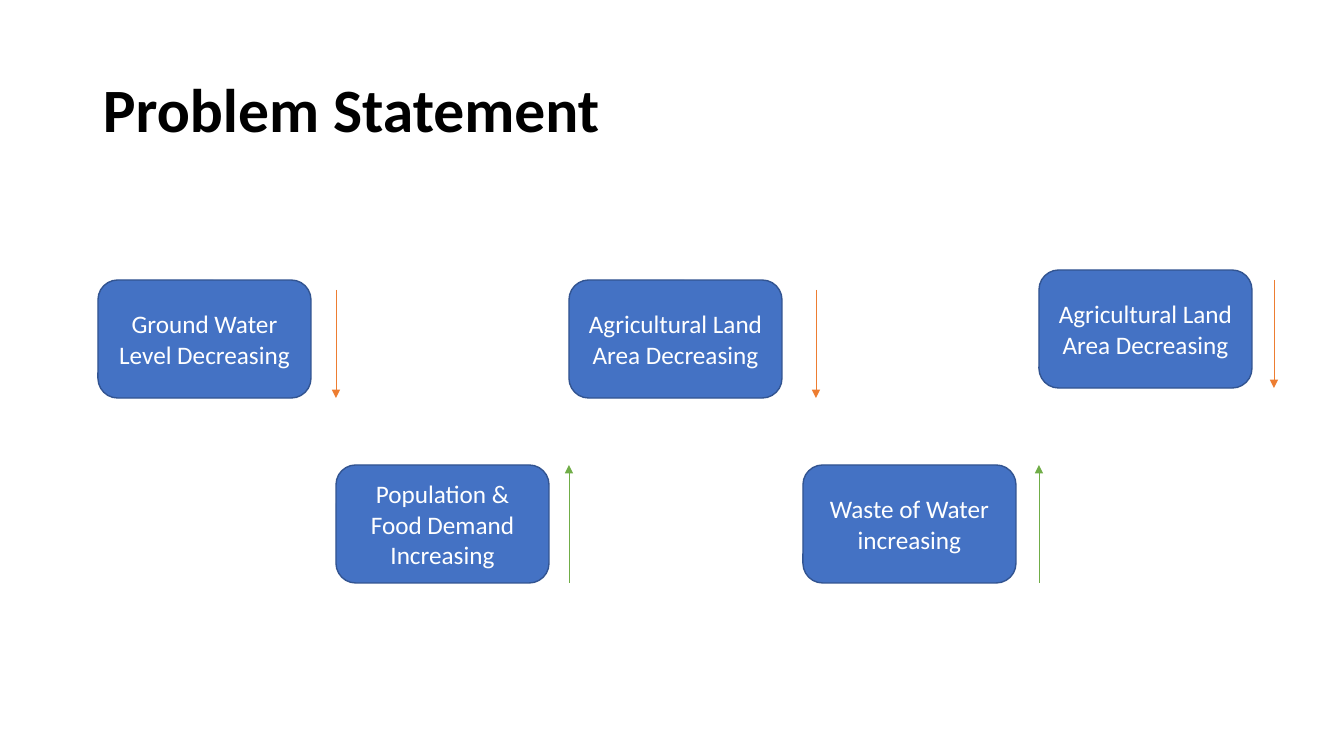
"""Build the Problem Statement slide with five trend boxes and arrows."""
from pptx import Presentation
from pptx.dml.color import RGBColor
from pptx.enum.shapes import MSO_CONNECTOR as Connector, MSO_SHAPE as Shape
from pptx.enum.text import MSO_ANCHOR as Anchor, PP_ALIGN as Align
from pptx.oxml.ns import qn
from pptx.util import Pt
from lxml.etree import SubElement

PX = 914400 / 100.8
BLACK = RGBColor(0x00, 0x00, 0x00)
WHITE = RGBColor(0xFF, 0xFF, 0xFF)
BLUE = RGBColor(0x44, 0x72, 0xC4)
NAVY = RGBColor(0x32, 0x54, 0x91)
ORANGE = RGBColor(0xED, 0x7D, 0x31)
GREEN = RGBColor(0x70, 0xAD, 0x47)

TITLE = "Problem Statement"
TITLE_AREA = (93, 40, 1159, 146)
TITLE_FONT = {"name": "Calibri", "size": Pt(44), "bold": True}
BOX_FONT = {"name": "Calibri", "size": Pt(18)}
BOX_WIDTH, BOX_HEIGHT = 213, 118
DOWN_INSET = 10

TRENDS = [
    {"text": "Ground Water Level Decreasing", "left": 98, "top": 280, "arrow": 336, "rising": False},
    {"text": "Population & Food Demand Increasing", "left": 336, "top": 465, "arrow": 569, "rising": True},
    {"text": "Agricultural Land Area Decreasing", "left": 569, "top": 280, "arrow": 816, "rising": False},
    {"text": "Waste of Water increasing", "left": 803, "top": 465, "arrow": 1039, "rising": True},
    {"text": "Agricultural Land Area Decreasing", "left": 1039, "top": 270, "arrow": 1274, "rising": False},
]


def emu(*lengths):
    return [round(length * PX) for length in lengths]


def write(shape, text, values, color, **layout):
    frame = shape.text_frame
    frame.word_wrap = True
    frame.vertical_anchor = Anchor.MIDDLE
    paragraph = frame.paragraphs[0]
    for name, value in layout.items():
        setattr(paragraph, name, value)
    run = paragraph.add_run()
    run.text = text
    for name, value in values.items():
        setattr(run.font, name, value)
    run.font.color.rgb = color


def add_box(slide, trend):
    area = emu(trend["left"], trend["top"], BOX_WIDTH, BOX_HEIGHT)
    box = slide.shapes.add_shape(Shape.ROUNDED_RECTANGLE, *area)
    box.shadow.inherit = False
    box.fill.solid()
    box.fill.fore_color.rgb = BLUE
    box.line.color.rgb = NAVY
    box.line.width = Pt(1)
    write(box, trend["text"], BOX_FONT, WHITE, alignment=Align.CENTER)


def add_arrow(slide, trend):
    x, top = trend["arrow"], trend["top"]
    bottom = top + BOX_HEIGHT
    start, end = (bottom, top) if trend["rising"] else (top + DOWN_INSET, bottom)
    arrow = slide.shapes.add_connector(Connector.STRAIGHT, *emu(x, start, x, end))
    arrow.line.color.rgb = GREEN if trend["rising"] else ORANGE
    arrow.line.width = Pt(0.5)
    SubElement(arrow.line._get_or_add_ln(), qn("a:tailEnd"), type="triangle")
    SubElement(arrow._element.spPr, qn("a:effectLst"))


def main():
    presentation = Presentation()
    presentation.slide_width, presentation.slide_height = emu(1344, 756)
    slide = presentation.slides.add_slide(presentation.slide_layouts[6])
    title = slide.shapes.add_textbox(*emu(*TITLE_AREA))
    write(title, TITLE, TITLE_FONT, BLACK, line_spacing=0.9)
    for trend in TRENDS:
        add_box(slide, trend)
    for trend in TRENDS:
        add_arrow(slide, trend)
    presentation.save("out.pptx")


if __name__ == "__main__":
    main()
